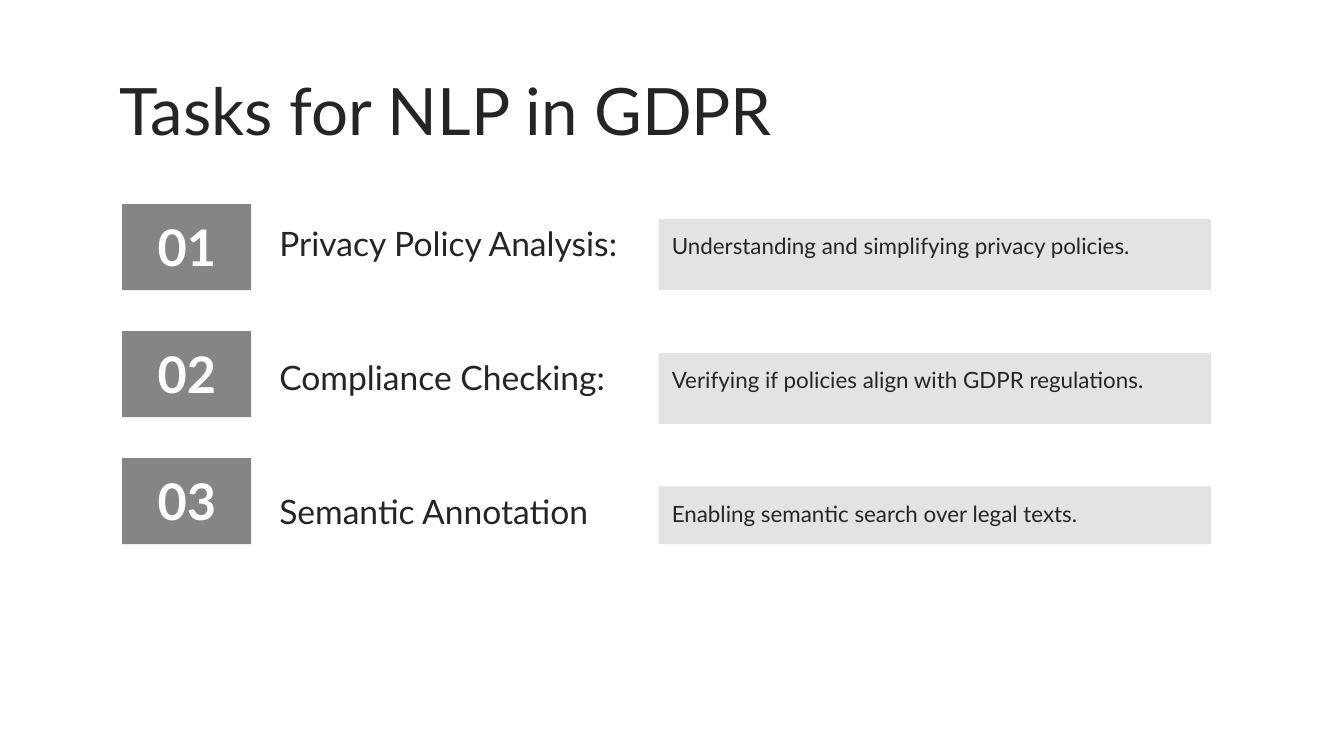
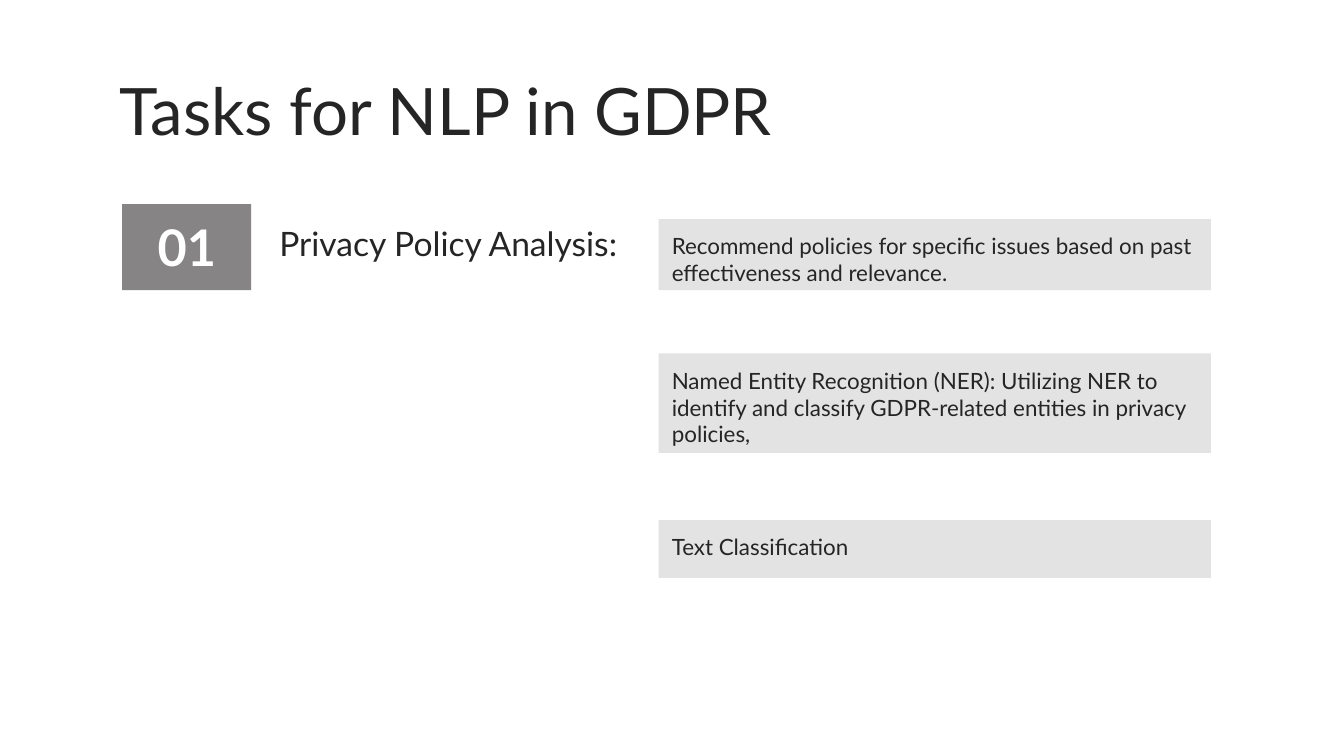
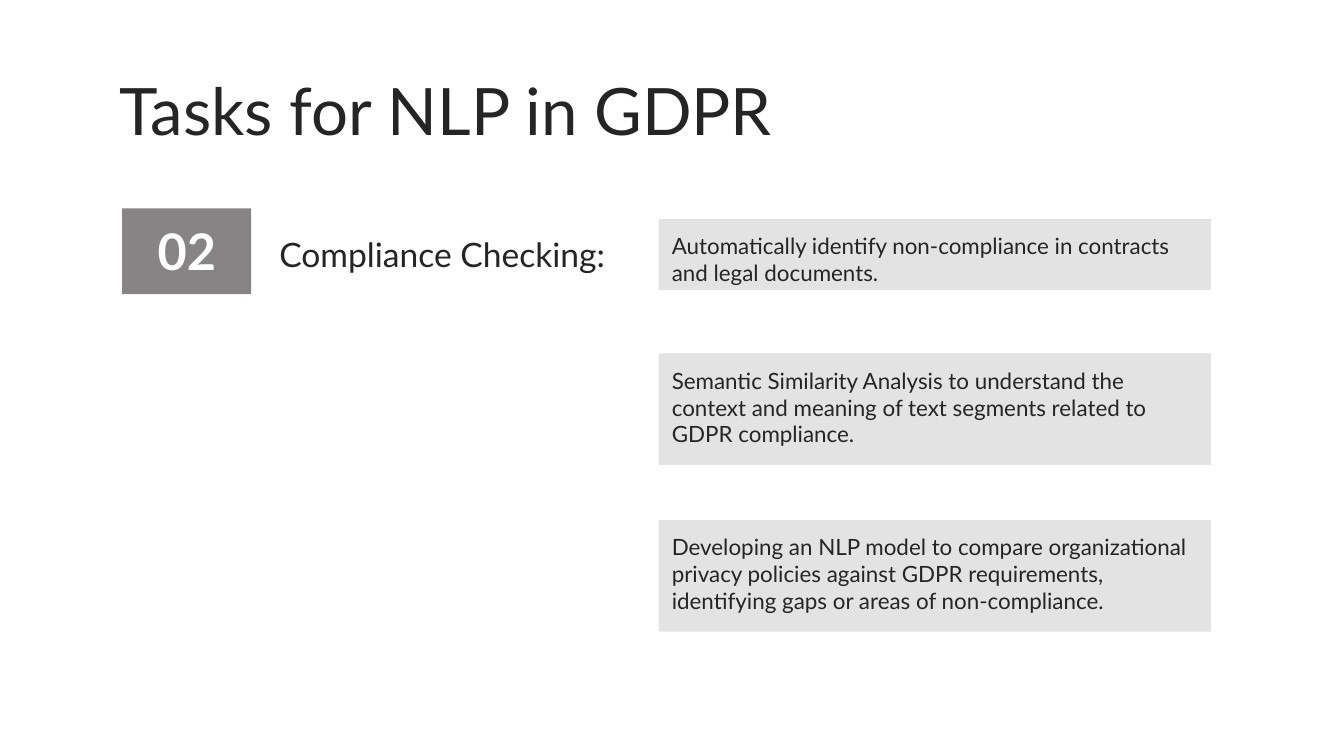
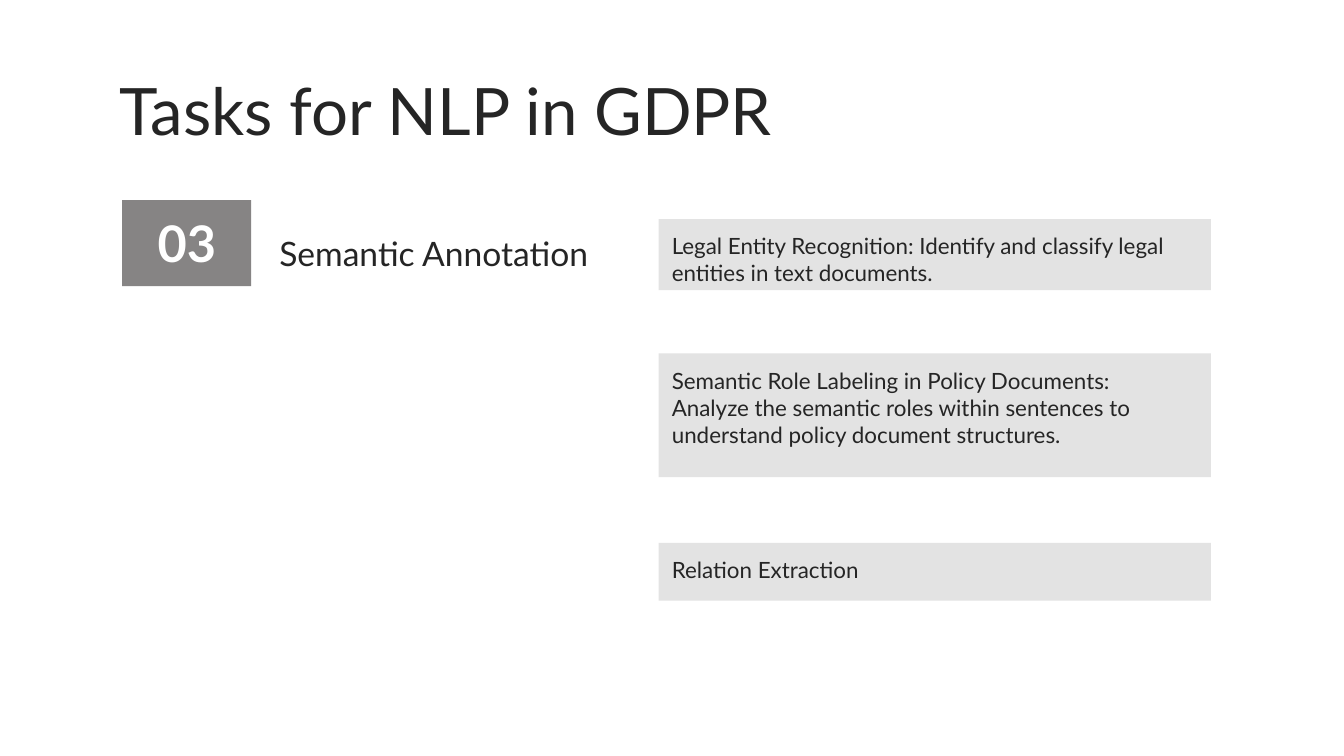
"""Build four slides on the NLP tasks that support GDPR work."""
from collections import namedtuple
from dataclasses import dataclass

from pptx import Presentation
from pptx.dml.color import RGBColor
from pptx.enum.shapes import MSO_SHAPE
from pptx.enum.text import MSO_ANCHOR, MSO_AUTO_SIZE, PP_ALIGN
from pptx.util import Inches, Pt

RECT = MSO_SHAPE.RECTANGLE
TOP, BOTTOM = MSO_ANCHOR.TOP, MSO_ANCHOR.BOTTOM
LEFT, CENTER = PP_ALIGN.LEFT, PP_ALIGN.CENTER
NO_FIT = MSO_AUTO_SIZE.NONE
TITLE_ONLY = 5

Box = namedtuple("Box", "x y w h")


@dataclass(frozen=True)
class Theme:
    """Colours, font, type sizes and inset shared by all slides."""
    ink: str = "252525"
    paper: str = "FFFFFF"
    badge: str = "868484"
    panel: str = "E3E3E3"
    font: str = "Lato"
    title: int = 35
    number: int = 27
    heading: int = 18
    body: int = 12
    inset: float = 0.1


THEME = Theme()
SLIDE_W = 10
SLIDE_H = SLIDE_W * 9 / 16
TITLE = "Tasks for NLP in GDPR"
TITLE_BOX = Box(0.79, 0.42, 8.43, 0.63)
CONTENT = Box(0.91, 1.42, 8.1, 3.28)
BADGE_W, ROW_H = 0.96, 0.64
HEADING_X, HEADING_W = 1.07, 2.92
PANEL_X = HEADING_X + HEADING_W

TASKS = [
    ("01", "Privacy Policy Analysis:", "Understanding and simplifying privacy policies.", 0.53),
    ("02", "Compliance Checking:", "Verifying if policies align with GDPR regulations.", 0.53),
    ("03", "Semantic Annotation", "Enabling semantic search over legal texts.", 0.43),
]

DETAILS = [
    (0.1, 0, [
        (0.21, 0.53, "Recommend policies for specific issues based on past effectiveness and relevance."),
        (1.21, 0.74, "Named Entity Recognition (NER): Utilizing NER to identify and classify "
                     "GDPR-related entities in privacy policies,"),
        (2.45, 0.43, "Text Classification"),
    ]),
    (0.13, 0.08, [
        (0.21, 0.53, "Automatically identify non-compliance in contracts and legal documents."),
        (1.21, 0.83, "Semantic Similarity Analysis to understand the context and meaning of "
                     "text segments related to GDPR compliance."),
        (2.45, 0.83, "Developing an NLP model to compare organizational privacy policies against "
                     "GDPR requirements, identifying gaps or areas of non-compliance."),
    ]),
    (0.07, 0.07, [
        (0.21, 0.53, "Legal Entity Recognition: Identify and classify legal entities in text documents."),
        (1.21, 0.92, "Semantic Role Labeling in Policy Documents:  Analyze the semantic roles "
                     "within sentences to understand policy document structures."),
        (2.62, 0.43, "Relation Extraction"),
    ]),
]


def write_text(sp, text, size, color=THEME.ink, bold=False, align=LEFT, anchor=TOP):
    """Put one formatted paragraph into a shape."""
    tf = sp.text_frame
    tf.word_wrap = True
    tf.auto_size = NO_FIT
    tf.vertical_anchor = anchor
    tf.margin_left = tf.margin_right = tf.margin_top = tf.margin_bottom = Inches(THEME.inset)
    p = tf.paragraphs[0]
    p.alignment = align
    r = p.add_run()
    r.text = text
    r.font.name = THEME.font
    r.font.size = Pt(size)
    r.font.bold = bold
    r.font.color.rgb = RGBColor.from_string(color)


def add_block(s, box, fill):
    """Add a plain filled rectangle."""
    sp = s.shapes.add_shape(RECT, *map(Inches, box))
    sp.shadow.inherit = False
    sp.fill.solid()
    sp.fill.fore_color.rgb = RGBColor.from_string(fill)
    sp.line.fill.background()
    return sp


def add_badge(s, box, y, number):
    """Add a number badge at the left of the box, y below its top."""
    sp = add_block(s, Box(box.x, box.y + y, BADGE_W, ROW_H), THEME.badge)
    write_text(sp, number, THEME.number, color=THEME.paper, bold=True, align=CENTER, anchor=BOTTOM)


def add_heading(s, box, y, text):
    """Add a task heading beside the badge, y below the top of the box."""
    sp = s.shapes.add_textbox(*map(Inches, (box.x + HEADING_X, box.y + y, HEADING_W, ROW_H)))
    write_text(sp, text, THEME.heading, anchor=BOTTOM)


def add_panel(s, box, y, h, text):
    """Add a description panel filling the right of the box."""
    sp = add_block(s, Box(box.x + PANEL_X, box.y + y, box.w - PANEL_X, h), THEME.panel)
    write_text(sp, text, THEME.body)


def add_titled_slide(prs):
    """Add a slide carrying the shared title."""
    s = prs.slides.add_slide(prs.slide_layouts[TITLE_ONLY])
    sp = s.shapes.title
    sp.left, sp.top, sp.width, sp.height = map(Inches, TITLE_BOX)
    write_text(sp, TITLE, THEME.title)
    return s


def add_overview(s, box):
    """Place every task as a row of badge, heading and panel."""
    for i, (number, heading, text, panel_h) in enumerate(TASKS):
        row = i / (len(TASKS) - 1)
        add_badge(s, box, 0.1 + 1.89 * row, number)
        add_heading(s, box, 1.99 * row, heading)
        add_panel(s, box, 0.21 + 1.99 * row, panel_h, text)


def add_detail(s, box, task, detail):
    """Place one task with its stack of panels."""
    number, heading = task[:2]
    badge_y, heading_y, panels = detail
    add_badge(s, box, badge_y, number)
    add_heading(s, box, heading_y, heading)
    for y, h, text in panels:
        add_panel(s, box, y, h, text)


def main():
    """Build and save the presentation."""
    prs = Presentation()
    prs.slide_width, prs.slide_height = Inches(SLIDE_W), Inches(SLIDE_H)
    add_overview(add_titled_slide(prs), CONTENT)
    for task, detail in zip(TASKS, DETAILS):
        add_detail(add_titled_slide(prs), CONTENT, task, detail)
    prs.save("out.pptx")


if __name__ == "__main__":
    main()
